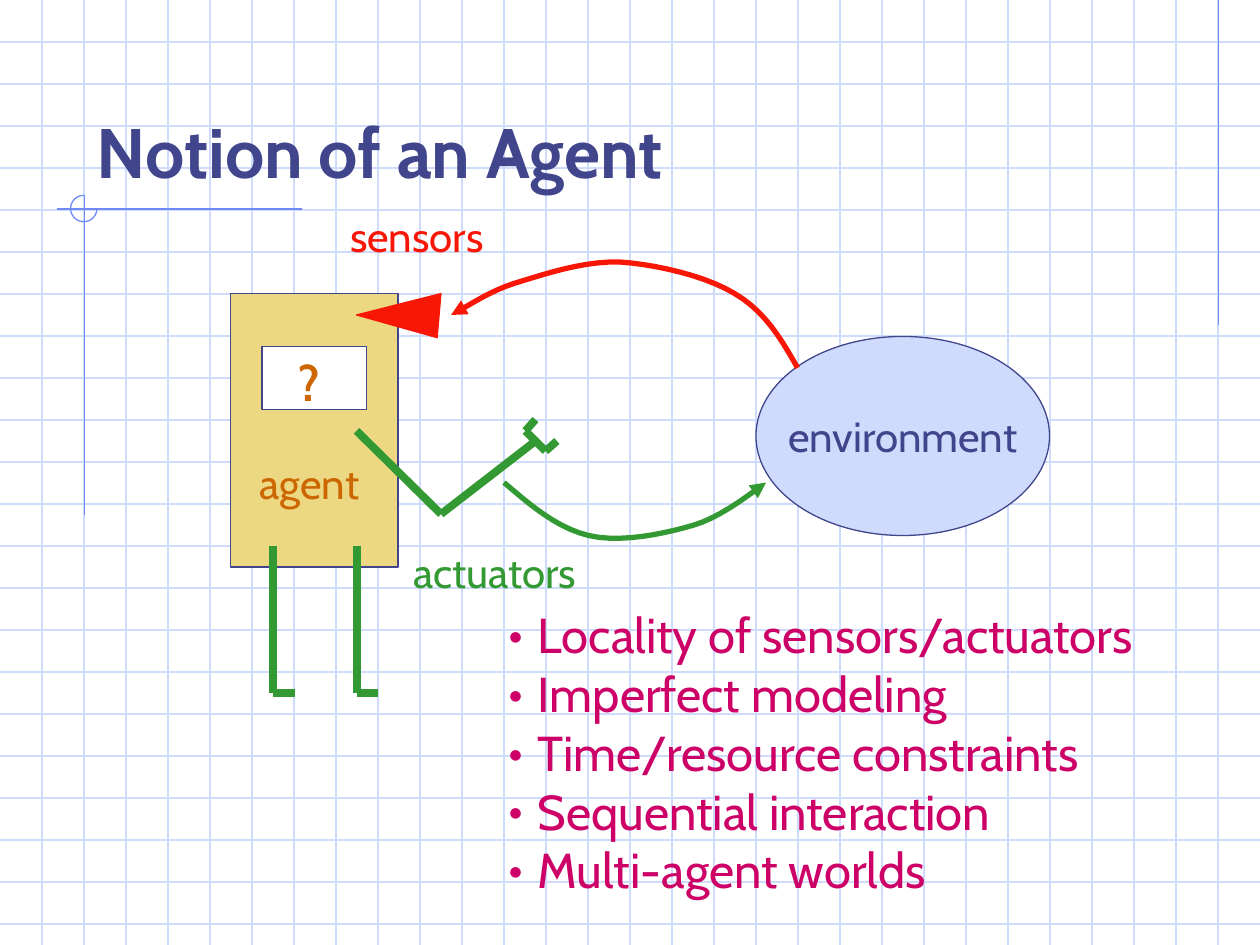
from lxml import etree
from pptx import Presentation, util as u
from pptx.dml.color import RGBColor
from pptx.enum import shapes as s, text as t
from pptx.oxml.ns import qn

FONT = "Cabin"
WHITE, GRID, RULE, NAVY = "FFFFFF", "CFDBFD", "6F89F7", "40458C"
RED, GREEN, SAND, BROWN, MAGENTA = "F81706", "339933", "ECD882", "CC6600", "CC0066"
WIDTH, HEIGHT = 10, 7.5

TITLE = "Notion of an Agent"
POINTS = [
    "Locality of sensors/actuators",
    "Imperfect modeling",
    "Time/resource constraints",
    "Sequential interaction",
    "Multi-agent worlds",
]
RULES = [((9.67, 0), (9.67, 2.58)), ((2.4, 1.66), (0.45, 1.66)), ((0.67, 1.55), (0.67, 4.09))]

# Each curve: a start point, then Bezier segments (control, control, end)
SENSING = [(6.33, 2.92),
           [(6.2, 2.69), (6.07, 2.47), (5.83, 2.33)],
           [(5.6, 2.19), (5.21, 2.1), (4.92, 2.08)],
           [(4.63, 2.07), (4.31, 2.18), (4.08, 2.25)],
           [(3.86, 2.32), (3.67, 2.46), (3.58, 2.5)]]
ACTING = [(4, 3.83),
          [(4.21, 4.01), (4.42, 4.19), (4.67, 4.25)],
          [(4.92, 4.31), (5.26, 4.24), (5.5, 4.17)],
          [(5.74, 4.1), (5.99, 3.89), (6.08, 3.83)]]
EYE = [(2.83, 2.5), (3.5, 2.33), (3.47, 2.68)]
ARM = [((2.83, 3.42), (3.5, 4.08)), ((3.5, 4.08), (4.25, 3.5)), ((4.17, 3.42), (4.33, 3.58)),
       ((4.17, 3.42), (4.25, 3.33)), ((4.33, 3.58), (4.42, 3.5))]
LEG_XS = [2.17, 2.83]
HIP_Y, FOOT_Y, FOOT_LENGTH = 4.33, 5.5, 0.17

prs = Presentation()
prs.slide_width, prs.slide_height = u.Inches(WIDTH), u.Inches(HEIGHT)
slide = prs.slides.add_slide(prs.slide_layouts[6])


def rgb(color):
    return RGBColor.from_string(color)


def draw_line(start, end, color, weight):
    line = slide.shapes.add_connector(
        s.MSO_CONNECTOR.STRAIGHT, *(u.Inches(v) for v in (*start, *end)))
    line.line.color.rgb = rgb(color)
    line.line.width = u.Pt(weight)
    etree.SubElement(line._element.spPr, qn("a:effectLst"))


def style(shape, fill, line, weight=0.75):
    shape.shadow.inherit = False
    if fill:
        shape.fill.solid()
        shape.fill.fore_color.rgb = rgb(fill)
    else:
        shape.fill.background()
    shape.line.color.rgb = rgb(line)
    shape.line.width = u.Pt(weight)
    return shape


def add_preset(kind, box, fill, line):
    return style(slide.shapes.add_shape(kind, *(u.Inches(v) for v in box)), fill, line)


def add_outline(points, close):
    start, *rest = [(u.Inches(x), u.Inches(y)) for x, y in points]
    builder = slide.shapes.build_freeform(*start)
    builder.add_line_segments(rest, close=close)
    return builder.convert_to_shape()


def bezier_points(curve, steps=10):
    points = [curve[0]]
    for c1, c2, end in curve[1:]:
        start = points[-1]
        for i in range(1, steps + 1):
            f = i / steps
            g = 1 - f
            points.append(tuple(
                g**3 * a + 3 * g * g * f * b + 3 * g * f * f * c + f**3 * d
                for a, b, c, d in zip(start, c1, c2, end)))
    return points


def draw_curved_arrow(curve, color):
    arrow = style(add_outline(bezier_points(curve), close=False), None, color, 3)
    etree.SubElement(arrow.line._get_or_add_ln(), qn("a:tailEnd"), type="triangle")


def write(paragraph, words, size, color, bold=False):
    run = paragraph.add_run()
    run.text = words
    run.font.name, run.font.size, run.font.bold = FONT, u.Pt(size), bold
    run.font.color.rgb = rgb(color)


def add_text(lines, box, size, color, bold=False, anchor=t.MSO_ANCHOR.TOP, bullet=False):
    frame = slide.shapes.add_textbox(*(u.Inches(v) for v in box)).text_frame
    frame.word_wrap = True
    frame.vertical_anchor = anchor
    for i, words in enumerate(lines):
        paragraph = frame.add_paragraph() if i else frame.paragraphs[0]
        if bullet:
            props = paragraph._p.get_or_add_pPr()
            props.set("marL", str(u.Inches(0.23)))
            props.set("indent", str(-u.Inches(0.23)))
            bullet_color = etree.SubElement(props, qn("a:buClr"))
            etree.SubElement(bullet_color, qn("a:srgbClr"), val=color)
            etree.SubElement(props, qn("a:buFont"), typeface=FONT)
            etree.SubElement(props, qn("a:buChar"), char="•")
        write(paragraph, words, size, color, bold)


# Graph paper, three lines to the inch
for i in range(1, int(HEIGHT * 3) + 1):
    draw_line((0, i / 3), (WIDTH, i / 3), GRID, 0.75)
for i in range(1, WIDTH * 3):
    draw_line((i / 3, 0), (i / 3, HEIGHT), GRID, 0.75)
for start, end in RULES:
    draw_line(start, end, RULE, 0.75)
corner_arc = add_preset(s.MSO_SHAPE.ARC, (0.56, 1.55, 0.21, 0.21), None, RULE)
corner_arc.adjustments[0] = 0
corner_arc.adjustments[1] = 162  # 270 degrees

add_text([TITLE], (0.67, 0.33, 8.5, 1.25), 40, NAVY, bold=True, anchor=t.MSO_ANCHOR.BOTTOM)

environment = add_preset(s.MSO_SHAPE.OVAL, (6, 2.67, 2.33, 1.58), GRID, NAVY)
environment.text_frame.word_wrap = False
environment.text_frame.vertical_anchor = t.MSO_ANCHOR.MIDDLE
environment.text_frame.paragraphs[0].alignment = t.PP_ALIGN.CENTER
write(environment.text_frame.paragraphs[0], "environment", 24, NAVY)

draw_curved_arrow(SENSING, RED)
draw_curved_arrow(ACTING, GREEN)

add_preset(s.MSO_SHAPE.RECTANGLE, (1.83, 2.33, 1.33, 2.17), SAND, NAVY)
add_text(["agent"], (1.96, 3.58, 1.1, 0.5), 24, BROWN)
add_preset(s.MSO_SHAPE.RECTANGLE, (2.08, 2.75, 0.83, 0.5), WHITE, NAVY)
add_text(["?"], (2.27, 2.75, 0.38, 0.57), 28, BROWN, bold=True)

for start, end in ARM:
    draw_line(start, end, GREEN, 4.5)
for x in LEG_XS:
    draw_line((x, FOOT_Y), (x, HIP_Y), GREEN, 4.5)
    draw_line((x, FOOT_Y), (x + FOOT_LENGTH, FOOT_Y), GREEN, 4.5)
style(add_outline(EYE, close=True), RED, RED)

add_text(["sensors"], (2.68, 1.62, 1.41, 0.5), 24, RED)
add_text(["actuators"], (3.18, 4.29, 1.68, 0.5), 24, GREEN)
add_text(POINTS, (3.94, 4.75, 5.58, 2.44), 28, MAGENTA, bullet=True)

prs.save("out.pptx")
